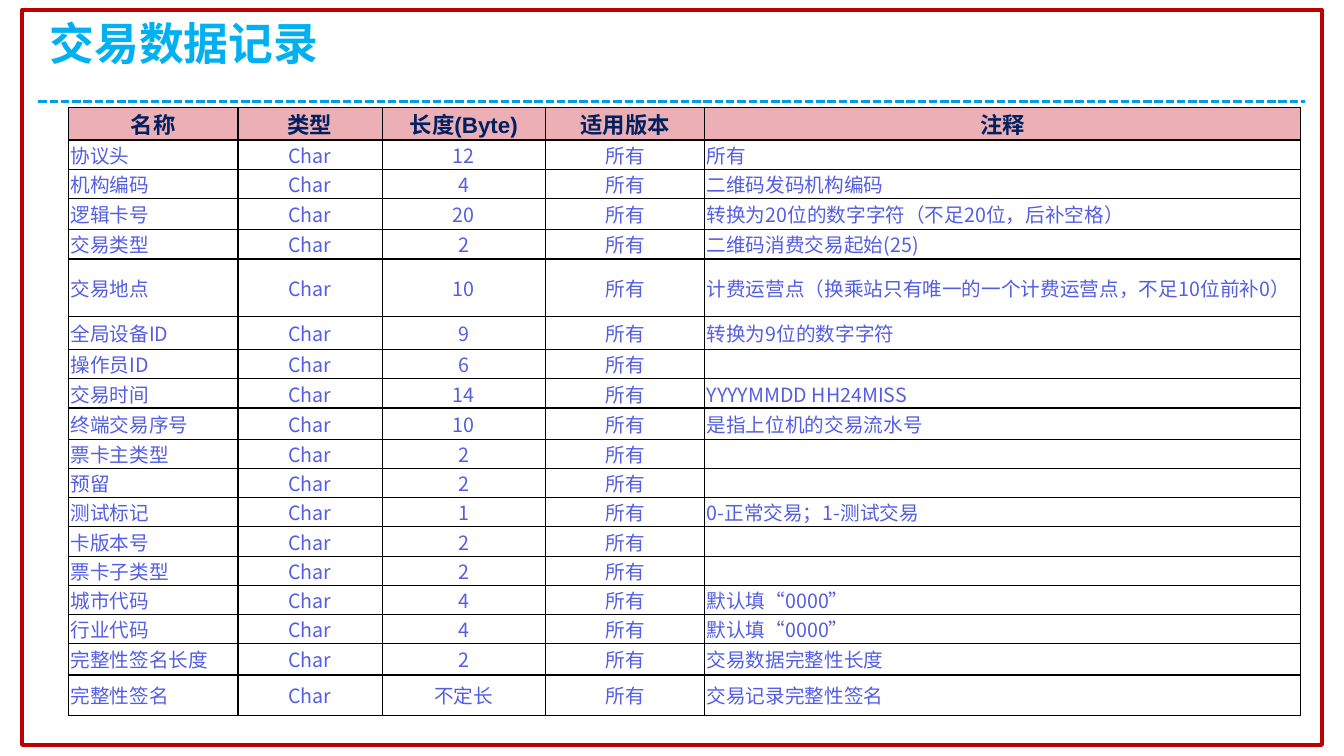
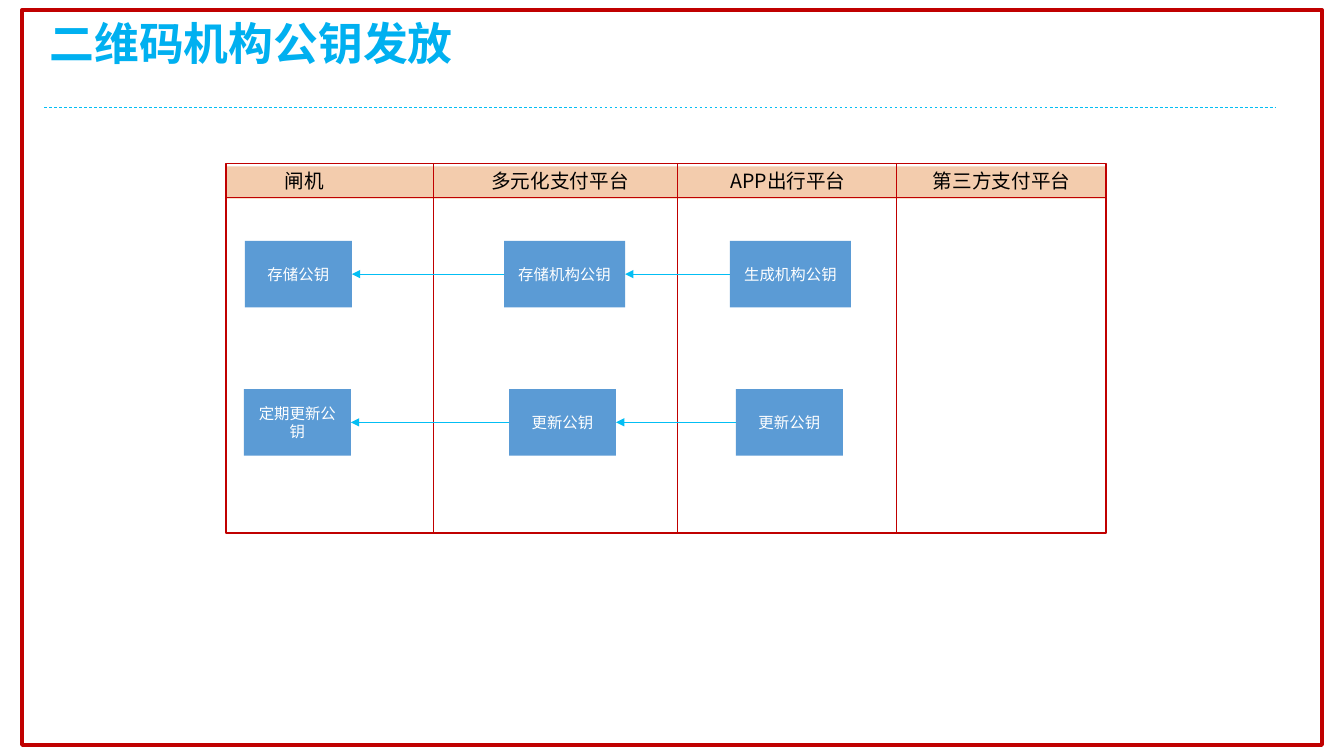
from dataclasses import dataclass
from itertools import pairwise

from lxml import etree
from pptx import Presentation
from pptx import util as u
from pptx.dml.color import RGBColor
from pptx.enum import dml, shapes, text
from pptx.oxml.ns import qn

PX = 9144  # 100 px to the inch
LEFT, TOP, RIGHT = 1, 0, 3
ALIGN = text.PP_ALIGN
DASH = dml.MSO_LINE


@dataclass(frozen=True)
class Theme:
    frame: str = "C00000"
    title: str = "00B0F0"
    rule: str = "009EE7"
    flow: str = "03BEF4"
    header_fill: str = "EBAFB5"
    header_text: str = "002060"
    body_text: str = "545EE2"
    lane_fill: str = "DE6A10"
    node_fill: str = "5B9BD5"
    black: str = "000000"
    white: str = "FFFFFF"
    body_font: str = "Noto Sans CJK SC"
    header_font: str = "Arial"
    title_font: str = "Calibri"
    title_size: int = 32
    header_size: int = 16
    body_size: int = 14
    node_size: int = 11


THEME = Theme()


def color(value):
    return RGBColor.from_string(value)


def add_element(parent, tag, **attributes):
    return etree.SubElement(parent, qn(tag), attributes)


class SlideWriter:
    """Holds the deck, the theme and the slide being drawn."""

    def __init__(self):
        self.deck = Presentation()
        self.deck.slide_width, self.deck.slide_height = 1333 * PX, 750 * PX
        self.page = None

    def new_page(self, title, font):
        self.page = self.deck.slides.add_slide(self.deck.slide_layouts[6])
        self.rect(22, 10, 1289, 729, line=THEME.frame, weight=3)
        para = self.label(title, 44, 19, 1246, 88, THEME.title_size, THEME.title,
                          align=ALIGN.LEFT, anchor=text.MSO_ANCHOR.TOP,
                          margins=(5, 3), font=font, bold=True)
        para.line_spacing = 0.9

    def style(self, para, size, shade, align=ALIGN.CENTER, font=THEME.body_font, bold=False):
        para.alignment = align
        for span in para.runs:
            span.font.size, span.font.bold = u.Pt(size), bold
            span.font.color.rgb = color(shade)
            span.font.name = font
            add_element(span.font._element, "a:ea", typeface=THEME.body_font)

    def label(self, words, left, top, width, height, size, shade,
              anchor=text.MSO_ANCHOR.MIDDLE, margins=(6, 6), **looks):
        box = self.page.shapes.add_textbox(left * PX, top * PX, width * PX, height * PX)
        frame = box.text_frame
        frame.word_wrap, frame.vertical_anchor = True, anchor
        frame.margin_left = frame.margin_right = margins[0] * PX
        frame.margin_top = frame.margin_bottom = margins[1] * PX
        frame.text = words
        self.style(frame.paragraphs[0], size, shade, **looks)
        return frame.paragraphs[0]

    def rect(self, left, top, width, height, fill=None, alpha=None, line=None, weight=1):
        box = self.page.shapes.add_shape(shapes.MSO_SHAPE.RECTANGLE, left * PX, top * PX,
                                         width * PX, height * PX)
        box.shadow.inherit = False
        if fill:
            box.fill.solid()
            box.fill.fore_color.rgb = color(fill)
        else:
            box.fill.background()
        if alpha:
            shade = box.fill._xPr.find(qn("a:solidFill"))[0]
            add_element(shade, "a:alpha", val=str(alpha * 1000))
        if line:
            box.line.color.rgb, box.line.width = color(line), u.Pt(weight)
        else:
            box.line.fill.background()
        return box

    def node(self, words, left, top, width, height):
        box = self.rect(left, top, width, height, fill=THEME.node_fill)
        frame = box.text_frame
        frame.word_wrap, frame.vertical_anchor = True, text.MSO_ANCHOR.MIDDLE
        frame.text = words
        self.style(frame.paragraphs[0], THEME.node_size, THEME.white)
        return box

    def line(self, x1, y1, x2, y2, shade, weight=1, dash=None):
        link = self.page.shapes.add_connector(shapes.MSO_CONNECTOR.STRAIGHT,
                                              x1 * PX, y1 * PX, x2 * PX, y2 * PX)
        link.line.color.rgb, link.line.width = color(shade), u.Pt(weight)
        if dash:
            link.line.dash_style = dash
        add_element(link._element.spPr, "a:effectLst")
        return link

    def arrow(self, source, target):
        """Joins the left side of source to the right side of target."""
        link = self.line(0, 0, 0, 0, THEME.flow, 0.5)
        link.begin_connect(source, LEFT)
        link.end_connect(target, RIGHT)
        add_element(link.line._get_or_add_ln(), "a:tailEnd", type="triangle")

    def table(self, left, top, widths, heights, rows):
        grid = self.page.shapes.add_table(len(rows), len(widths), left * PX, top * PX,
                                          sum(widths) * PX, sum(heights) * PX).table
        grid.first_row = grid.horz_banding = False
        for column, width in zip(grid.columns, widths):
            column.width = width * PX
        for row, height in zip(grid.rows, heights):
            row.height = height * PX
        for r, values in enumerate(rows):
            for c, value in enumerate(values):
                self.cell(grid.cell(r, c), value, r == 0, c in (0, len(widths) - 1))

    def cell(self, cell, value, is_header, is_justified):
        cell.margin_left = cell.margin_right = 2 * PX
        cell.margin_top = cell.margin_bottom = 0
        cell.vertical_anchor = text.MSO_ANCHOR.MIDDLE
        cell.text = value
        para = cell.text_frame.paragraphs[0]
        for side in ("a:lnL", "a:lnR", "a:lnT", "a:lnB"):
            border = add_element(cell._tc.get_or_add_tcPr(), side, w=str(u.Pt(1)))
            add_element(add_element(border, "a:solidFill"), "a:srgbClr", val=THEME.black)
        if is_header:
            cell.fill.solid()
            cell.fill.fore_color.rgb = color(THEME.header_fill)
            self.style(para, THEME.header_size, THEME.header_text,
                       font=THEME.header_font, bold=True)
            return
        cell.fill.background()
        self.style(para, THEME.body_size, THEME.body_text,
                   align=ALIGN.JUSTIFY if is_justified else ALIGN.CENTER)
        if not value:  # keeps an empty row from growing
            para._p.get_or_add_endParaRPr().set("sz", str(THEME.body_size * 100))


HEADER = ["名称", "类型", "长度(Byte)", "适用版本", "注释"]
FIELDS = [
    ("协议头", "12", "所有"),
    ("机构编码", "4", "二维码发码机构编码"),
    ("逻辑卡号", "20", "转换为20位的数字字符（不足20位，后补空格）"),
    ("交易类型", "2", "二维码消费交易起始(25)"),
    ("交易地点", "10", "计费运营点（换乘站只有唯一的一个计费运营点，不足10位前补0）"),
    ("全局设备ID", "9", "转换为9位的数字字符"),
    ("操作员ID", "6", ""),
    ("交易时间", "14", "YYYYMMDD HH24MISS"),
    ("终端交易序号", "10", "是指上位机的交易流水号"),
    ("票卡主类型", "2", ""),
    ("预留", "2", ""),
    ("测试标记", "1", "0-正常交易；1-测试交易"),
    ("卡版本号", "2", ""),
    ("票卡子类型", "2", ""),
    ("城市代码", "4", "默认填“0000”"),
    ("行业代码", "4", "默认填“0000”"),
    ("完整性签名长度", "2", "交易数据完整性长度"),
    ("完整性签名", "不定长", "交易记录完整性签名"),
]
TALL_ROWS = {0: 32, 3: 31, 5: 57, 6: 33, 9: 31, 17: 31, 18: 40}

LANES = [("闸机", 233, 138), ("多元化支付平台", 438, 235),
         ("APP出行平台", 694, 175), ("第三方支付平台", 906, 175)]
LANE_EDGES = [430, 672, 889]
# top of each flow, then its boxes from left to right: words, left, width
FLOWS = [
    (239, [("存储公钥", 243, 106), ("存储机构公钥", 500, 120), ("生成机构公钥", 724, 120)]),
    (386, [("定期更新公钥", 242, 106), ("更新公钥", 505, 106), ("更新公钥", 730, 106)]),
]


def draw_record_page(writer):
    writer.new_page("交易数据记录", THEME.title_font)
    writer.line(38, 101, 1294, 101, THEME.rule, 2, DASH.SQUARE_DOT)
    rows = [HEADER] + [[name, "Char", length, "所有", note] for name, length, note in FIELDS]
    heights = [TALL_ROWS.get(r, 29) for r in range(len(rows))]
    writer.table(68, 107, [168, 143, 162, 158, 591], heights, rows)


def draw_key_page(writer):
    writer.new_page("二维码机构公钥发放", THEME.body_font)
    writer.line(44, 107, 1265, 107, THEME.flow, 0.5, DASH.DASH)
    left, top, width, height = 224, 162, 873, 367
    writer.rect(left, 165, width, 32, fill=THEME.lane_fill, alpha=34)
    writer.rect(left, top, width, height, line=THEME.frame)
    writer.line(left, 196, left + width, 196, THEME.frame)
    for x in LANE_EDGES:
        writer.line(x, top, x, top + height, THEME.frame)
    for words, lane_left, lane_width in LANES:
        writer.label(words, lane_left, top, lane_width, 35, THEME.body_size, THEME.black)
    for flow_top, boxes in FLOWS:
        nodes = [writer.node(words, x, flow_top, w, 66) for words, x, w in boxes]
        for target, source in pairwise(nodes):
            writer.arrow(source, target)


def main():
    writer = SlideWriter()
    draw_record_page(writer)
    draw_key_page(writer)
    writer.deck.save("out.pptx")


if __name__ == "__main__":
    main()
